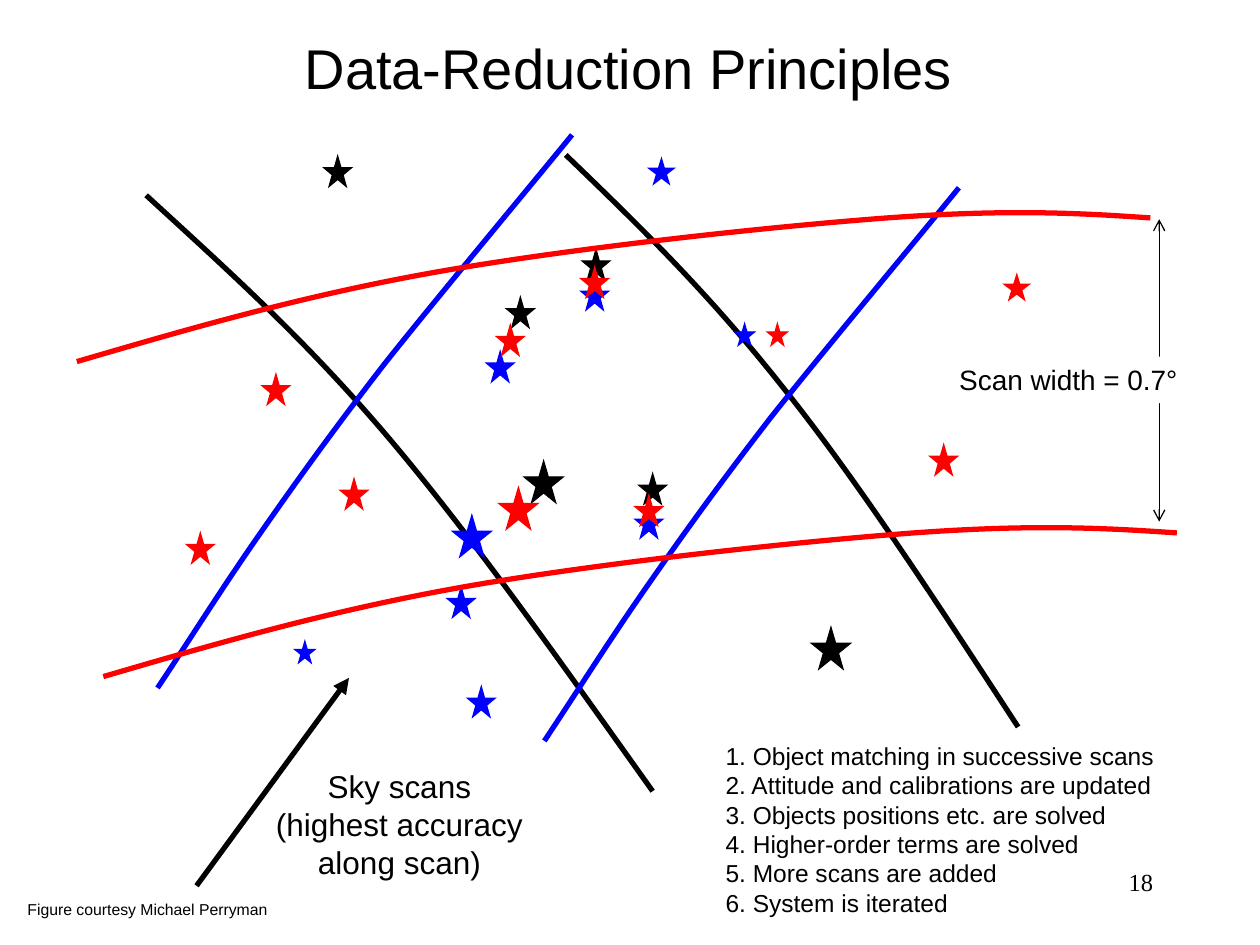
from lxml import etree
from pptx import Presentation
from pptx import util as u
from pptx.dml.color import RGBColor
from pptx.enum import shapes, text
from pptx.oxml import ns

BLACK = RGBColor(0, 0, 0)
BLUE = RGBColor(0, 0, 255)
RED = RGBColor(255, 0, 0)
WHITE = RGBColor(255, 255, 255)

deck = Presentation()
deck.slide_width, deck.slide_height = u.Inches(10), u.Inches(7.5)
GRID = deck.slide_width // 1000
slide = deck.slides.add_slide(deck.slide_layouts[5])
canvas = slide.shapes


def write(box, lines, size, align, font="Arial", hanging=0, **frame_format):
    frame = box.text_frame
    for name, value in {"word_wrap": True, **frame_format}.items():
        setattr(frame, name, value)
    frame.text = "\n".join(lines)
    for paragraph in frame.paragraphs:
        paragraph.alignment = align
        if hanging:
            props = paragraph._p.get_or_add_pPr()
            props.set("marL", str(hanging))
            props.set("indent", str(-hanging))
        for name, value in {"name": font, "size": u.Pt(size)}.items():
            setattr(paragraph.font, name, value)
        paragraph.font.color.rgb = BLACK


def arrow(start, end, weight, **heads):
    line = canvas.add_connector(shapes.MSO_CONNECTOR.STRAIGHT,
                                *(GRID * value for value in start + end))
    line.line.color.rgb = BLACK
    line.line.width = u.Pt(weight)
    outline = line.line._get_or_add_ln()
    for tag, kind in heads.items():
        etree.SubElement(outline, ns.qn(f"a:{tag}"), type=kind)
    etree.SubElement(line._element.spPr, ns.qn("a:effectLst"))


title = canvas.title
for name, value in {"left": 21, "top": 20, "width": 956, "height": 67}.items():
    setattr(title, name, GRID * value)
write(title, ["Data-Reduction Principles"], 32, text.PP_ALIGN.CENTER,
      vertical_anchor=text.MSO_ANCHOR.MIDDLE)

blue_edge = [(125, 546), (151, 507), (176, 467), (206, 424), (236, 381),
             (264, 342), (305, 289), (347, 236), (429, 138), (454, 107)]
red_edge = [(61, 287), (150, 261), (239, 235), (346, 216), (453, 197),
            (610, 180), (704, 173), (799, 166), (856, 169), (913, 173)]
black_edges = [
    [(116, 155), (178, 212), (241, 268), (308, 347), (375, 426), (446, 527), (518, 628)],
    [(449, 123), (505, 177), (561, 231), (621, 307), (681, 382), (744, 479), (808, 577)],
]
blue_edges = [[(x + dx, y + dy) for x, y in blue_edge] for dx, dy in [(0, 0), (307, 42)]]
red_edges = [[(x + dx, y + dy) for x, y in red_edge] for dx, dy in [(0, 0), (21, 250)]]

BRIGHT, MEDIUM, SMALL, FAINT = (31, 33), (22, 24), (20, 20), (16, 17)
scans = [
    (BLACK, black_edges, {
        BRIGHT: [(416, 366), (644, 498)],
        MEDIUM: [(402, 236), (507, 376), (462, 198), (257, 124)]}),
    (BLUE, blue_edges, {
        BRIGHT: [(359, 409)],
        MEDIUM: [(386, 279), (355, 466), (504, 403), (461, 222), (371, 545)],
        SMALL: [(515, 126)],
        FAINT: [(234, 509), (583, 257)]}),
    (RED, red_edges, {
        BRIGHT: [(396, 387)],
        MEDIUM: [(394, 258), (148, 423), (504, 393), (461, 212),
                 (738, 353), (208, 297), (270, 380)],
        SMALL: [(797, 218)],
        FAINT: [(609, 257)]}),
]

for color, edges, stars in scans:
    for edge in edges:
        knots = [(GRID * x, GRID * y) for x, y in edge]
        builder = canvas.build_freeform(*knots[0])
        builder.add_line_segments(knots[1:], close=False)
        curve = builder.convert_to_shape()
        segments = list(curve._element.iter(ns.qn("a:lnTo")))
        for first in range(0, len(segments), 3):
            bend = etree.SubElement(segments[first].getparent(), ns.qn("a:cubicBezTo"))
            for segment in segments[first:first + 3]:
                bend.append(segment[0])
                segment.getparent().remove(segment)
        curve.shadow.inherit = False
        curve.fill.background()
        curve.line.color.rgb = color
        curve.line.width = u.Pt(3)
    for size, places in stars.items():
        for place in places:
            star = canvas.add_shape(shapes.MSO_SHAPE.STAR_5_POINT,
                                    *(GRID * value for value in place + size))
            star.shadow.inherit = False
            star.fill.solid()
            star.fill.fore_color.rgb = color
            star.line.color.rgb = color
            star.line.width = u.Pt(0.75)
            etree.SubElement(star.line._get_or_add_ln(), ns.qn("a:miter"), lim="800000")

arrow((156, 703), (277, 538), 3, tailEnd="triangle")
arrow((920, 414), (920, 174), 0.75, headEnd="arrow", tailEnd="arrow")

scan_width = canvas.add_shape(shapes.MSO_SHAPE.RECTANGLE,
                              *(GRID * value for value in (751, 283, 194, 37)))
scan_width.shadow.inherit = False
scan_width.fill.solid()
scan_width.fill.fore_color.rgb = WHITE
scan_width.line.fill.background()
write(scan_width, ["Scan width = 0.7°"], 16, text.PP_ALIGN.CENTER,
      word_wrap=False, vertical_anchor=text.MSO_ANCHOR.TOP)

steps = ["Object matching in successive scans", "Attitude and calibrations are updated",
         "Objects positions etc. are solved", "Higher-order terms are solved",
         "More scans are added", "System is iterated"]
notes = [
    ((209, 604, 216, 100), ["Sky scans", "(highest accuracy", "along scan)"], 18,
     text.PP_ALIGN.CENTER, {"word_wrap": False, "vertical_anchor": text.MSO_ANCHOR.MIDDLE}),
    ((566, 583, 408, 151), [f"{number}. {step}" for number, step in enumerate(steps, 1)], 14,
     text.PP_ALIGN.LEFT, {"hanging": 50 * GRID}),
    ((11, 709, 212, 25), ["Figure courtesy Michael Perryman"], 9,
     text.PP_ALIGN.CENTER, {"word_wrap": False}),
    ((717, 683, 208, 50), ["18"], 14, text.PP_ALIGN.RIGHT, {"font": "Times New Roman"}),
]
for area, lines, size, align, options in notes:
    note = canvas.add_textbox(*(GRID * value for value in area))
    write(note, lines, size, align, **options)

deck.save("out.pptx")
